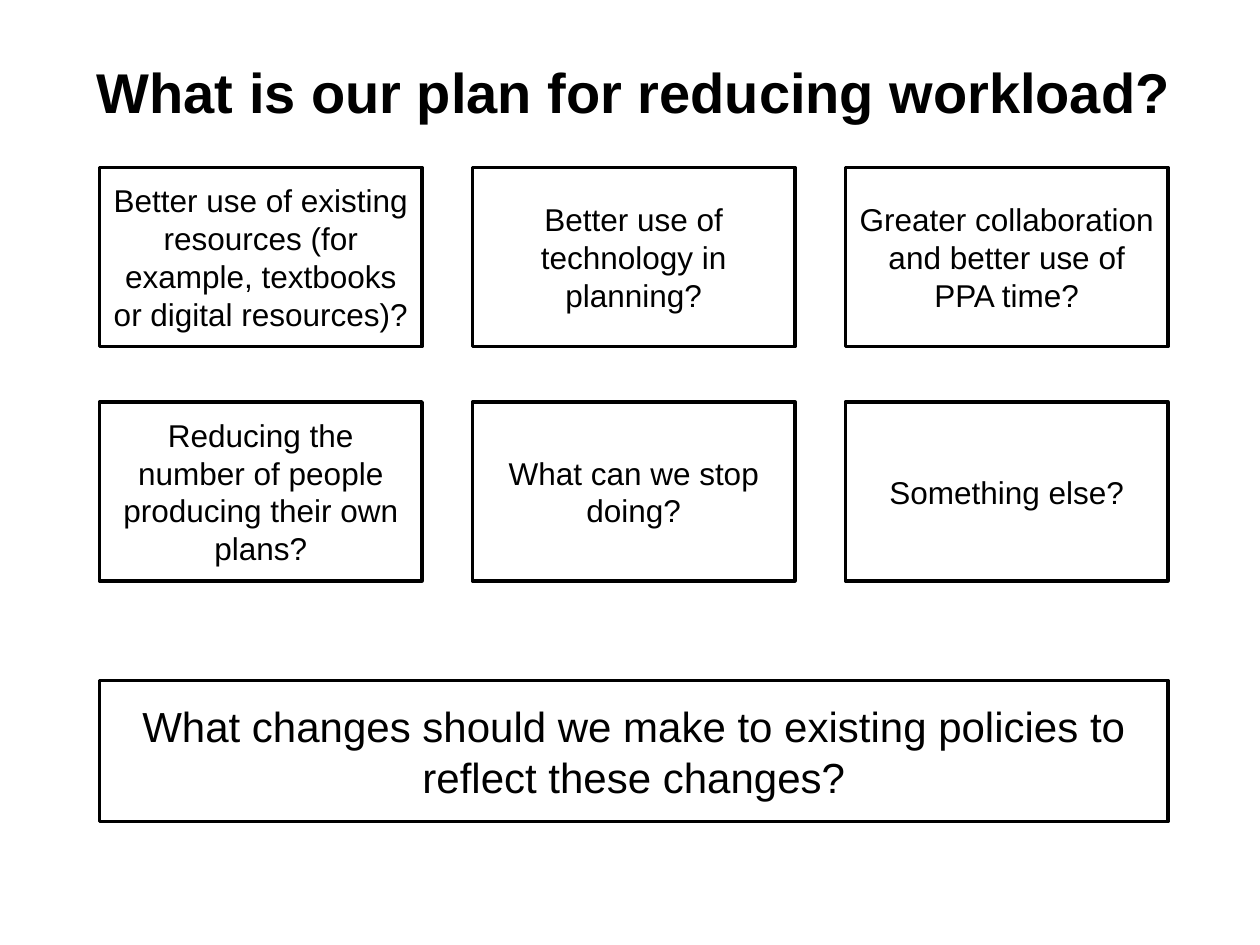
from dataclasses import dataclass

from pptx import Presentation
from pptx.dml.color import RGBColor
from pptx.enum.shapes import MSO_SHAPE as Shape
from pptx.enum.text import MSO_ANCHOR as Anchor, PP_ALIGN as Align
from pptx.util import Inches, Pt


@dataclass(frozen=True)
class Theme:
    font: str = "Arial"
    ink: RGBColor = RGBColor(0, 0, 0)
    paper: RGBColor = RGBColor(255, 255, 255)
    title_size: int = 32
    idea_size: int = 18
    policy_size: int = 24
    border: int = 2


@dataclass(frozen=True)
class Grid:
    """Cells of equal size with equal gaps, in inches."""
    left: float = 0.79
    top: float = 1.33
    cell_width: float = 2.56
    cell_height: float = 1.42
    gap_x: float = 0.4
    gap_y: float = 0.44
    columns: int = 3

    def x(self, column):
        return self.left + column * (self.cell_width + self.gap_x)

    def y(self, row):
        return self.top + row * (self.cell_height + self.gap_y)

    def span(self, columns):
        return columns * self.cell_width + (columns - 1) * self.gap_x


class SlideBuilder:
    def __init__(self, slide, theme, grid):
        self.slide, self.theme, self.grid = slide, theme, grid
        slide.background.fill.solid()
        slide.background.fill.fore_color.rgb = theme.paper

    def set_text(self, shape, text, size, align, bold=False):
        frame = shape.text_frame
        frame.text = text
        frame.word_wrap = True
        frame.vertical_anchor = Anchor.MIDDLE
        para = frame.paragraphs[0]
        para.alignment = align
        font = para.runs[0].font
        font.name, font.size, font.bold = self.theme.font, Pt(size), bold
        font.color.rgb = self.theme.ink

    def title(self, text, left, top, width, height):
        box = self.slide.shapes.add_textbox(
            Inches(left), Inches(top), Inches(width), Inches(height))
        self.set_text(box, text, self.theme.title_size, Align.LEFT, bold=True)

    def outlined_box(self, text, left, top, width, height, size):
        box = self.slide.shapes.add_shape(
            Shape.RECTANGLE,
            Inches(left), Inches(top), Inches(width), Inches(height))
        box.shadow.inherit = False
        box.fill.background()
        box.line.color.rgb = self.theme.ink
        box.line.width = Pt(self.theme.border)
        self.set_text(box, text, size, Align.CENTER)

    def idea(self, text, row, column):
        grid = self.grid
        self.outlined_box(text, grid.x(column), grid.y(row), grid.cell_width,
                          grid.cell_height, self.theme.idea_size)

    def policy_question(self, text, top, height):
        """Add a box as wide as the whole grid."""
        grid = self.grid
        self.outlined_box(text, grid.left, top, grid.span(grid.columns),
                          height, self.theme.policy_size)


IDEAS = [
    "Better use of existing resources (for example, textbooks or digital resources)?",
    "Better use of technology in planning?",
    "Greater collaboration and better use of PPA time?",
    "Reducing the number of people producing their own plans?",
    "What can we stop doing?",
    "Something else?",
]


def main():
    deck = Presentation()
    deck.slide_width, deck.slide_height = Inches(10), Inches(7.5)
    grid = Grid()
    builder = SlideBuilder(
        deck.slides.add_slide(deck.slide_layouts[6]), Theme(), grid)

    builder.title("What is our plan for reducing workload?",
                  0.67, 0.37, 9.06, 0.71)
    for index, idea in enumerate(IDEAS):
        builder.idea(idea, *divmod(index, grid.columns))
    builder.policy_question(
        "What changes should we make to existing policies to reflect these changes?",
        top=5.4, height=1.12)

    deck.save("out.pptx")


if __name__ == "__main__":
    main()
